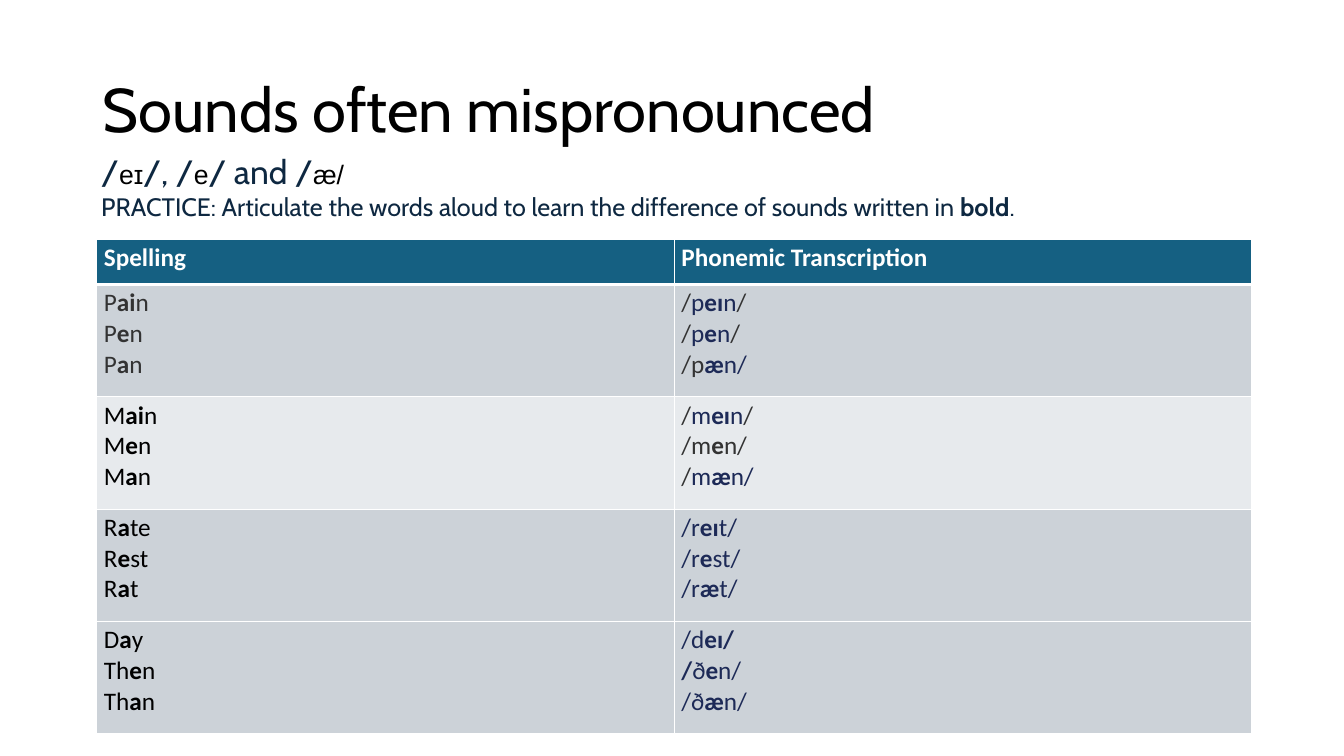
from pptx import Presentation
from pptx.dml.color import RGBColor
from pptx.enum.text import MSO_ANCHOR as Anchor, MSO_AUTO_SIZE as AutoSize, PP_ALIGN as Align
from pptx.oxml.ns import qn
from pptx.util import Emu, Pt
from lxml.etree import SubElement

EMU_PER_PX = 9525
BLACK, WHITE, GREY, NAVY, INK = "000000", "FFFFFF", "333333", "1D2A57", "0E2841"
HEADER_FILL, DARK_BAND, LIGHT_BAND = "156082", "CCD2D8", "E7EAED"
HEADER_HEIGHT, ROW_HEIGHT = 43, 107
THIN, THICK = 0.75, 2.04

# "*" switches bold, "|" switches from the base colour to navy and back
HEADINGS = ("Spelling", "Phonemic Transcription")
WORD_GROUPS = [
    (DARK_BAND, GREY, ("P*ai*n", "P*e*n", "P*a*n"),
     ("/|p*eɪ*n|/", "/|p*e*n|/", "/p|*æ*n/")),
    (LIGHT_BAND, BLACK, ("M*ai*n", "M*e*n", "M*a*n"),
     ("/|m*eɪ*n|/", "/m*e*n/", "/|m*æ*n/")),
    (DARK_BAND, BLACK, ("R*a*te", "R*e*st", "R*a*t"),
     ("|/r*eɪ*t/", "|/r*e*st/", "|/r*æ*t/")),
    (DARK_BAND, BLACK, ("D*a*y", "Th*e*n", "Th*a*n"),
     ("|/d*eɪ/*", "|*/*ð*e*n/", "|/ð*æ*n/")),
]


def px(length):
    return Emu(length * EMU_PER_PX)


def rgb(hex_colour):
    return RGBColor.from_string(hex_colour)


def add_run(paragraph, text, font, size, colour, bold=False):
    run = paragraph.add_run()
    run.text = text
    run.font.name = font
    run.font.size = Pt(size)
    run.font.bold = bold
    run.font.color.rgb = rgb(colour)


def add_marked_runs(paragraph, markup, base_colour):
    bold = False
    for colour_index, coloured in enumerate(markup.split("|")):
        colour = NAVY if colour_index % 2 else base_colour
        for bold_index, text in enumerate(coloured.split("*")):
            if bold_index:
                bold = not bold
            if text:
                add_run(paragraph, text, "Calibri", 18, colour, bold)


def add_border(cell, side, width):
    line = SubElement(cell._tc.get_or_add_tcPr(), qn(f"a:ln{side}"), w=str(Pt(width)))
    fill = SubElement(line, qn("a:solidFill"))
    SubElement(fill, qn("a:srgbClr"), val=WHITE)


def fill_cell(cell, lines, colour, fill, top=THIN, bottom=THIN):
    cell.margin_left = cell.margin_right = px(7)
    cell.margin_top = cell.margin_bottom = px(3)
    for side, width in (("L", THIN), ("R", THIN), ("T", top), ("B", bottom)):
        add_border(cell, side, width)
    cell.fill.solid()
    cell.fill.fore_color.rgb = rgb(fill)
    frame = cell.text_frame
    for index, markup in enumerate(lines):
        paragraph = frame.add_paragraph() if index else frame.paragraphs[0]
        add_marked_runs(paragraph, markup, colour)


def format_title(slide):
    title = slide.shapes.title
    title.left, title.top, title.width, title.height = map(px, (88, 38, 1104, 139))
    title.text_frame.vertical_anchor = Anchor.MIDDLE
    paragraph = title.text_frame.paragraphs[0]
    paragraph.alignment = Align.LEFT
    paragraph.line_spacing = 0.9
    add_run(paragraph, "Sounds often mispronounced", "Cabin", 44, BLACK)


def add_word_table(slide):
    height = HEADER_HEIGHT + ROW_HEIGHT * len(WORD_GROUPS)
    table = slide.shapes.add_table(
        len(WORD_GROUPS) + 1, 2, px(92), px(228), px(1100), px(height)).table
    for index, row in enumerate(table.rows):
        row.height = px(ROW_HEIGHT if index else HEADER_HEIGHT)
    for column, heading in enumerate(HEADINGS):
        fill_cell(table.cell(0, column), [f"*{heading}*"], WHITE, HEADER_FILL, bottom=THICK)
    for row, (fill, colour, words, sounds) in enumerate(WORD_GROUPS, 1):
        top = THICK if row == 1 else THIN
        fill_cell(table.cell(row, 0), words, colour, fill, top)
        fill_cell(table.cell(row, 1), sounds, GREY, fill, top)


def add_instructions(slide):
    frame = slide.shapes.add_textbox(px(87), px(139), px(912), px(108)).text_frame
    frame.word_wrap = True
    frame.auto_size = AutoSize.SHAPE_TO_FIT_TEXT
    symbols = frame.paragraphs[0]
    for separator, sound in (("/", "eɪ"), ("/, /", "e"), ("/ and /", "æ/")):
        add_run(symbols, separator, "Cabin", 24, INK)
        add_run(symbols, sound, "Arial", 19, BLACK)
    practice = frame.add_paragraph()
    add_run(practice, "PRACTICE: Articulate the words aloud to learn the difference "
            "of sounds written in ", "Cabin", 18, INK)
    add_run(practice, "bold", "Cabin", 18, INK, bold=True)
    add_run(practice, ".", "Cabin", 18, INK)


def main():
    presentation = Presentation()
    presentation.slide_width, presentation.slide_height = px(1280), px(720)
    slide = presentation.slides.add_slide(presentation.slide_layouts[5])
    format_title(slide)
    add_word_table(slide)
    add_instructions(slide)
    presentation.save("out.pptx")


if __name__ == "__main__":
    main()
